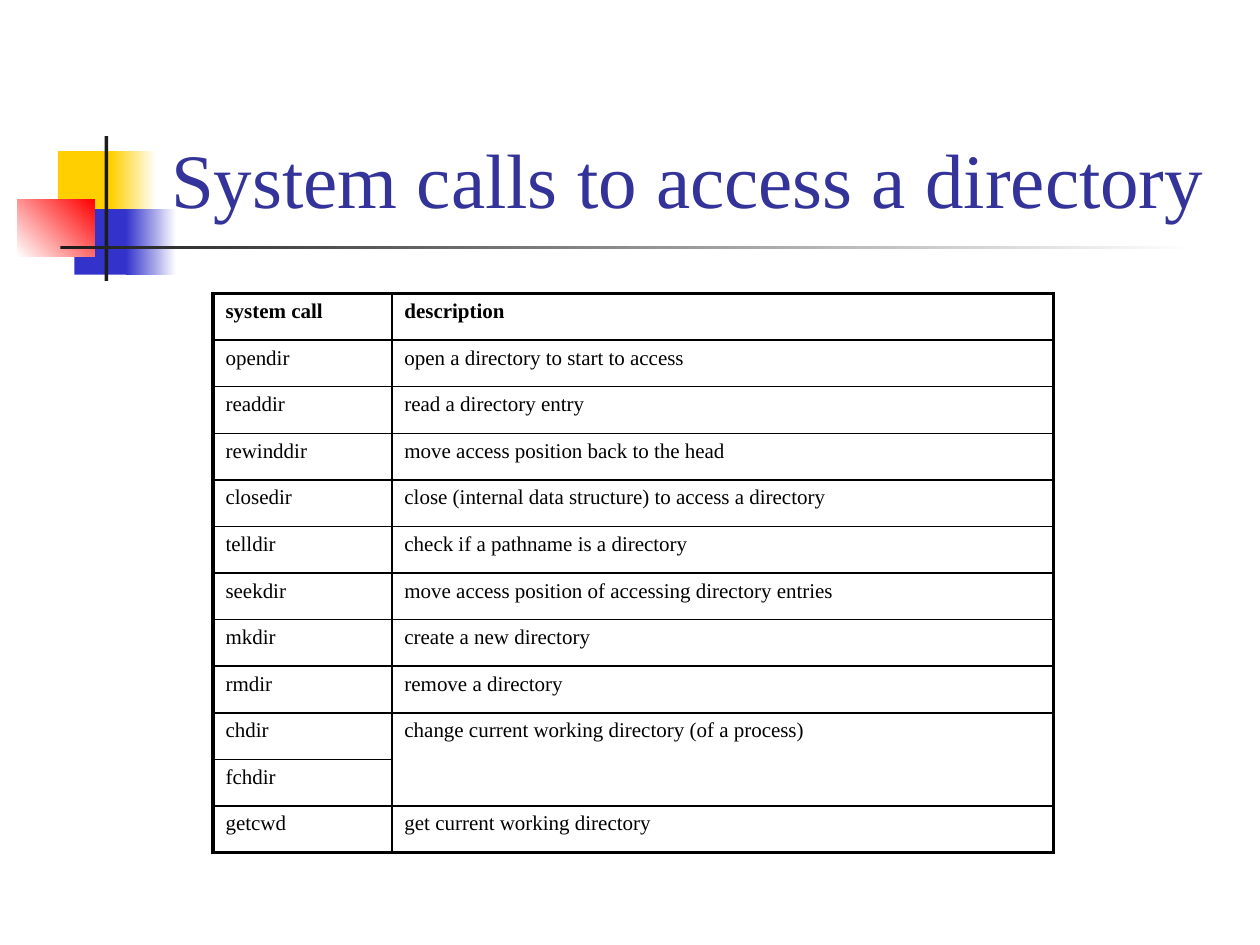
from dataclasses import dataclass

from lxml import etree
from pptx import Presentation
from pptx import util as u
from pptx.dml.color import RGBColor
from pptx.enum import shapes, text
from pptx.oxml.ns import qn

Inches = u.Inches


@dataclass(frozen=True)
class Theme:
    font: str = "Times New Roman"
    title_size: int = 44
    cell_size: int = 12
    title: str = "333399"
    ink: str = "000000"
    yellow: str = "FFCF01"
    blue: str = "3333CC"
    red: str = "FF0000"
    bar: str = "1C1C1C"
    white: str = "FFFFFF"
    outer_line: float = 2.25
    inner_line: float = 1


THEME = Theme()

CALLS = [
    ("system call", "description"),
    ("opendir", "open a directory to start to access"),
    ("readdir", "read a directory entry"),
    ("rewinddir", "move access position back to the head"),
    ("closedir", "close (internal data structure) to access a directory"),
    ("telldir", "check if a pathname is a directory"),
    ("seekdir", "move access position of accessing directory entries"),
    ("mkdir", "create a new directory"),
    ("rmdir", "remove a directory"),
    ("chdir", "change current working directory (of a process)"),
    ("fchdir", ""),
    ("getcwd", "get current working directory"),
]
SHARED_ROW = 9  # chdir and fchdir share one description


def style_font(font, size, color, bold=False):
    font.name = THEME.font
    font.size = u.Pt(size)
    font.bold = bold
    font.color.rgb = RGBColor.from_string(color)


def add_block(page, box, start, end=None, angle=0):
    """Place a borderless rectangle, plain or fading from start to end."""
    block = page.shapes.add_shape(
        shapes.MSO_SHAPE.RECTANGLE, *(Inches(length) for length in box))
    block.shadow.inherit = False
    block.line.fill.background()
    if end is None:
        block.fill.solid()
        block.fill.fore_color.rgb = RGBColor.from_string(start)
        return
    block.fill.gradient()
    block.fill.gradient_angle = angle
    for stop, color in zip(block.fill.gradient_stops, (start, end)):
        stop.color.rgb = RGBColor.from_string(color)


def add_ornament(page, box):
    """Overlapping colour blocks crossed by a vertical and a fading bar."""
    left, top, width, height = box
    blocks = [
        ((0.32, 0.12, 0.48, 0.52), THEME.yellow),
        ((0.74, 0.12, 0.36, 0.52), THEME.yellow, THEME.white),
        ((0.45, 0.58, 0.46, 0.52), THEME.blue),
        ((0.86, 0.58, 0.4, 0.52), THEME.blue, THEME.white),
        ((0, 0.5, 0.61, 0.46), THEME.white, THEME.red, 45),
        ((0.69, 0, 0.03, height), THEME.bar),
        ((0.34, 0.87, width - 0.34, 0.03), THEME.bar, THEME.white),
    ]
    for (x, y, w, h), *colors in blocks:
        add_block(page, (left + x, top + y, w, h), *colors)


def add_title(page, box, words):
    frame = page.shapes.add_textbox(
        *(Inches(length) for length in box)).text_frame
    frame.word_wrap = True
    frame.vertical_anchor = text.MSO_ANCHOR.BOTTOM
    frame.text = words
    style_font(frame.paragraphs[0].runs[0].font, THEME.title_size, THEME.title)


def set_borders(cell, widths):
    """Draw the left, right, top and bottom lines of a cell."""
    props = cell._tc.get_or_add_tcPr()
    for side, width in zip("LRTB", widths):
        line = etree.SubElement(props, qn(f"a:ln{side}"), w=str(u.Pt(width)))
        fill = etree.SubElement(line, qn("a:solidFill"))
        etree.SubElement(fill, qn("a:srgbClr"), val=THEME.ink)


def add_call_table(page, box, rows):
    left, top, width, height = box
    last_row, last_col = len(rows) - 1, len(rows[0]) - 1
    table = page.shapes.add_table(
        len(rows), len(rows[0]),
        *(Inches(length) for length in box)).table
    table.first_row = table.horz_banding = False
    first_width = 1.42
    table.columns[0].width = Inches(first_width)
    table.columns[1].width = Inches(width - first_width)

    for r, row in enumerate(rows):
        table.rows[r].height = Inches(height / len(rows))
        for c, words in enumerate(row):
            cell = table.cell(r, c)
            on_edge = (c == 0, c == last_col, r == 0, r == last_row)
            set_borders(cell, [THEME.outer_line if edge else THEME.inner_line
                               for edge in on_edge])
            cell.fill.background()
            cell.text_frame.text = words
            for span in cell.text_frame.paragraphs[0].runs:
                style_font(span.font, THEME.cell_size, THEME.ink, bold=r == 0)
    table.cell(SHARED_ROW, 1).merge(table.cell(SHARED_ROW + 1, 1))


def main():
    deck = Presentation()
    deck.slide_width, deck.slide_height = Inches(10), Inches(7.5)
    page = deck.slides.add_slide(deck.slide_layouts[6])
    add_ornament(page, (0.14, 1.08, 9.34, 1.15))
    add_title(page, (1.26, 0.23, 8.52, 1.6),
              "System calls to access a directory")
    add_call_table(page, (1.69, 2.33, 6.67, 4.44), CALLS)
    deck.save("out.pptx")


if __name__ == "__main__":
    main()
